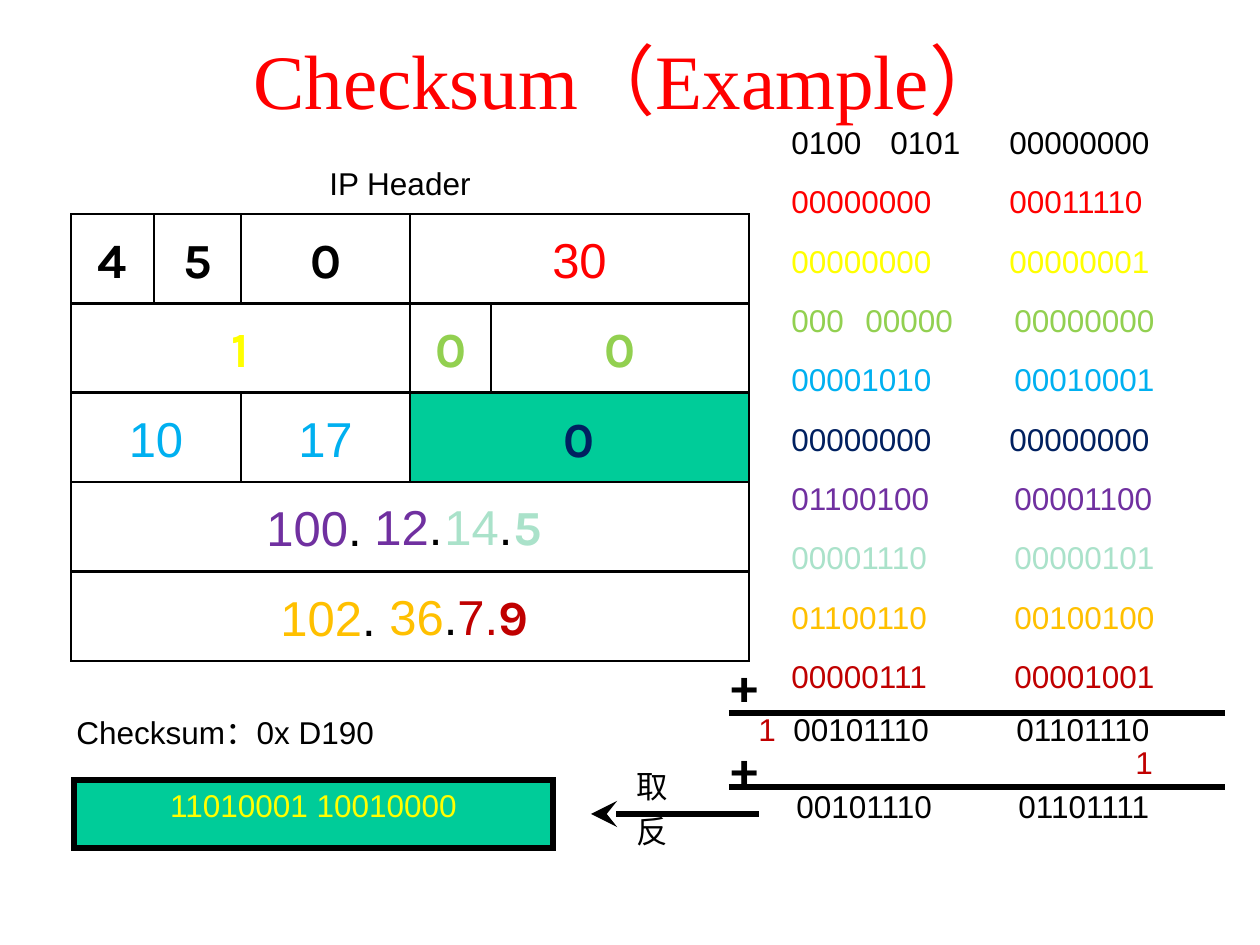
"""Build a slide that works through an IP header checksum."""
from lxml.etree import SubElement
from pptx import Presentation
from pptx.dml.color import RGBColor
from pptx.enum.shapes import MSO_CONNECTOR, MSO_SHAPE
from pptx.enum.text import MSO_ANCHOR, PP_ALIGN
from pptx.oxml.ns import qn
from pptx.util import Pt

PX = 914400 // 126
BLACK, RED, YELLOW, GREEN, BLUE = "000000", "FF0000", "FFFF00", "92D050", "00B0F0"
NAVY, PURPLE, MINT, GOLD, DARK_RED = "002060", "7030A0", "AAE2CA", "FFC000", "C00000"
TEAL = "00CC99"
HEAVY = "Karla"

HEADER_LEFT, HEADER_TOP, ROW_HEIGHT = 71, 214, 89.4
HEADER_ROWS = [
    [(154, [("4", BLACK, HEAVY)]), (241, [("5", BLACK, HEAVY)]),
     (410, [("0", BLACK, HEAVY)]), (749, [("30", RED)])],
    [(410, [("1", YELLOW, HEAVY)]), (491, [("0", GREEN, HEAVY)]),
     (749, [("0", GREEN, HEAVY)])],
    [(241, [("10", BLUE)]), (410, [("17", BLUE)]), (749, [("0", NAVY, HEAVY)])],
    [(749, [])],
    [(749, [])],
]
CHECKSUM_FIELD = (2, 749)

WORDS_TOP, WORD_STEP = 117, 59.3
WORDS = [
    (BLACK, {779: "0100", 878: "0101", 997: "00000000"}),
    (RED, {779: "00000000", 997: "00011110"}),
    (YELLOW, {779: "00000000", 997: "00000001"}),
    (GREEN, {779: "000", 853: "00000", 1002: "00000000"}),
    (BLUE, {779: "00001010", 1002: "00010001"}),
    (NAVY, {779: "00000000", 997: "00000000"}),
    (PURPLE, {779: "01100100", 1002: "00001100"}),
    (MINT, {779: "00001110", 1002: "00000101"}),
    (GOLD, {779: "01100110", 1002: "00100100"}),
    (DARK_RED, {779: "00000111", 1002: "00001001"}),
]
LABELS = [
    (254, 491, 122, 72, 28, ("100", PURPLE), (".", BLACK)),
    (362, 490, 94, 72, 28, ("12", PURPLE), (".", BLACK)),
    (432, 490, 94, 72, 28, ("14", MINT), (".", BLACK)),
    (501, 490, 54, 72, 28, ("5", MINT, HEAVY)),
    (268, 581, 122, 72, 28, ("102", GOLD), (".", BLACK)),
    (377, 580, 94, 72, 28, ("36", GOLD), (".", BLACK)),
    (445, 580, 67, 72, 28, ("7.", DARK_RED)),
    (486, 580, 54, 72, 28, ("9", DARK_RED, HEAVY)),
    (317, 158, 250, 50, 18, ("IP Header", BLACK)),
    (64, 707, 412, 50, 18, ("Checksum：0x D190", BLACK)),
    (624, 761, 67, 126, 18, ("取\n反", BLACK)),
    (719, 647, 54, 72, 28, ("+", BLACK, HEAVY)),
    (719, 730, 54, 72, 28, ("+", BLACK, HEAVY)),
    (746, 704, 43, 50, 18, ("1", DARK_RED)),
    (781, 704, 170, 50, 18, ("00101110", BLACK)),
    (1004, 704, 170, 50, 18, ("01101110", BLACK)),
    (1123, 737, 43, 50, 18, ("1", DARK_RED)),
    (784, 781, 170, 50, 18, ("00101110", BLACK)),
    (1006, 781, 170, 50, 18, ("01101111", BLACK)),
]
SUM_LINES = [(729, 713, 1225, 713), (729, 787, 1225, 787)]
INVERT_ARROW = (759, 814, 591, 814)


def px(*lengths):
    return [round(length * PX) for length in lengths]


def rgb(value):
    return RGBColor.from_string(value)


def write(frame, *runs, size=18, align=PP_ALIGN.LEFT, anchor=MSO_ANCHOR.TOP):
    frame.word_wrap = True
    frame.vertical_anchor = anchor
    paragraph = frame.paragraphs[0]
    paragraph.alignment = align
    for text, color, *font in runs:
        for index, piece in enumerate(text.split("\n")):
            if index:
                paragraph = frame.add_paragraph()
                paragraph.alignment = align
                paragraph.space_before = Pt(4)
            run = paragraph.add_run()
            run.text = piece
            run.font.size = Pt(size)
            run.font.name = font[0] if font else "Arial"
            run.font.bold = HEAVY in font
            run.font.color.rgb = rgb(color)


def add_label(slide, left, top, width, height, size, *runs):
    box = slide.shapes.add_textbox(*px(left, top, width, height))
    write(box.text_frame, *runs, size=size)


def add_field(slide, left, top, width, height, runs, fill=None, line=1.5, **text_format):
    field = slide.shapes.add_shape(MSO_SHAPE.RECTANGLE, *px(left, top, width, height))
    field.shadow.inherit = False
    if fill:
        field.fill.solid()
        field.fill.fore_color.rgb = rgb(fill)
    else:
        field.fill.background()
    field.line.color.rgb = rgb(BLACK)
    field.line.width = Pt(line)
    SubElement(field.line._get_or_add_ln(), qn("a:miter"), lim="800000")
    write(field.text_frame, *runs, align=PP_ALIGN.CENTER, **text_format)


def add_line(slide, ends, arrow=False):
    line = slide.shapes.add_connector(MSO_CONNECTOR.STRAIGHT, *px(*ends))
    line.line.color.rgb = rgb(BLACK)
    line.line.width = Pt(3)
    if arrow:
        SubElement(line.line._get_or_add_ln(), qn("a:tailEnd"), type="stealth", w="lg", len="lg")
    SubElement(line._element.spPr, qn("a:effectLst"))


def main():
    deck = Presentation()
    deck.slide_width, deck.slide_height = px(1260, 945)
    slide = deck.slides.add_slide(deck.slide_layouts[5])

    title = slide.shapes.title
    title.left, title.top, title.width, title.height = px(0, 0, 1260, 158)
    write(title.text_frame, ("Checksum（Example）", RED, "Times New Roman"), size=44,
          align=PP_ALIGN.CENTER, anchor=MSO_ANCHOR.MIDDLE)

    for row, fields in enumerate(HEADER_ROWS):
        left = HEADER_LEFT
        for right, runs in fields:
            fill = TEAL if (row, right) == CHECKSUM_FIELD else None
            add_field(slide, left, HEADER_TOP + row * ROW_HEIGHT, right - left, ROW_HEIGHT,
                      runs, fill=fill, size=28, anchor=MSO_ANCHOR.MIDDLE)
            left = right

    add_field(slide, 74, 780, 479, 68, [("11010001 10010000", YELLOW)], fill=TEAL, line=3)

    for row, (color, words) in enumerate(WORDS):
        for left, word in words.items():
            add_label(slide, left, WORDS_TOP + row * WORD_STEP, 18 * len(word) + 28, 50, 18,
                      (word, color))

    for label in LABELS:
        add_label(slide, *label)
    for ends in SUM_LINES:
        add_line(slide, ends)
    add_line(slide, INVERT_ARROW, arrow=True)

    deck.save("out.pptx")


if __name__ == "__main__":
    main()
